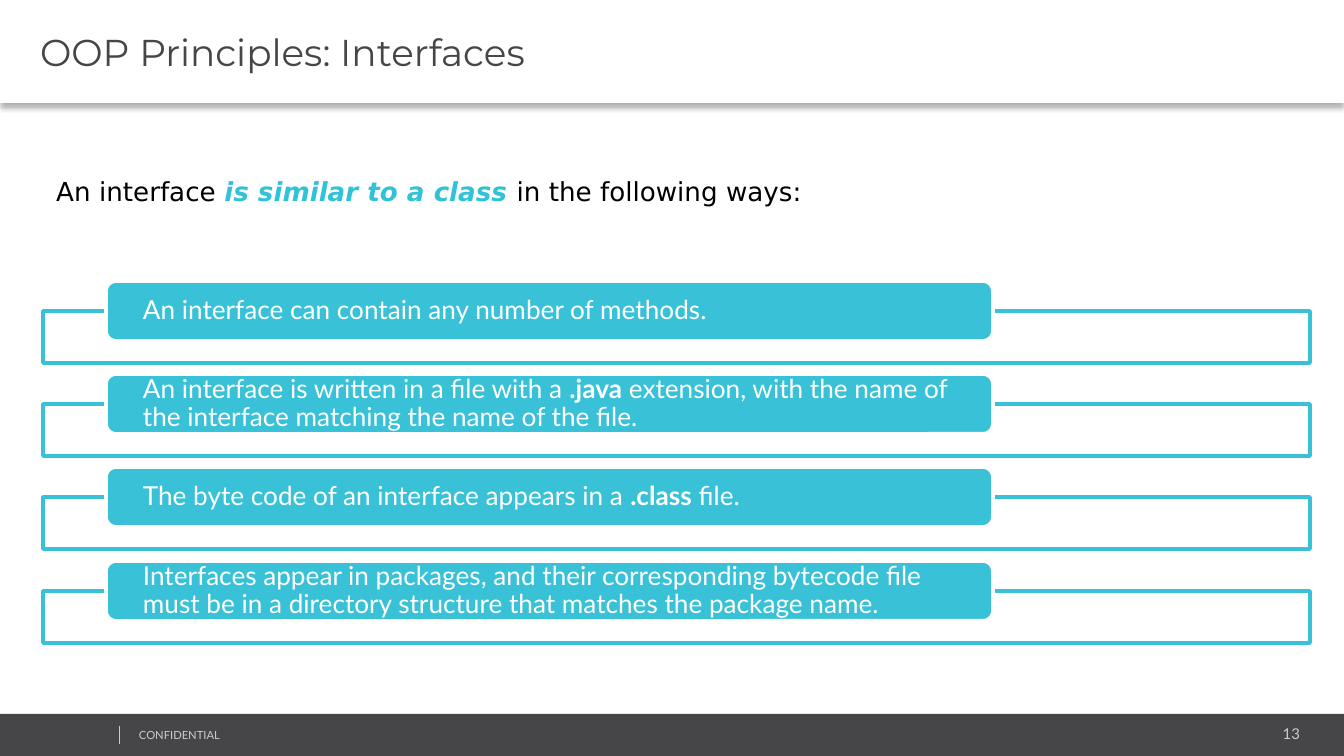
from lxml import etree
from pptx import Presentation, util as u
from pptx.dml.color import RGBColor
from pptx.enum import shapes, text
from pptx.oxml import ns

PX = 914400 / 134.4
TEAL, DARK, GREY, WHITE = "39C2D7", "464547", "CCCCCC", "FFFFFF"


def px(*vals):
    return [u.Emu(round(v * PX)) for v in vals]


def rgb(code):
    return RGBColor.from_string(code)


prs = Presentation()
prs.slide_width, prs.slide_height = px(1344, 756)
slide = prs.slides.add_slide(prs.slide_layouts[5])
kinds = shapes.MSO_SHAPE

# Title band with a soft shadow below
title = slide.shapes.title
title.left, title.top, title.width, title.height = px(0, 0, 1344, 103)
title.fill.solid()
title.fill.fore_color.rgb = rgb(WHITE)
fx = etree.SubElement(title._element.spPr, ns.qn("a:effectLst"))
shade = etree.SubElement(fx, ns.qn("a:outerShdw"), blurRad="39370",
                         dist="25400", dir="5400000", rotWithShape="0")
tone = etree.SubElement(shade, ns.qn("a:srgbClr"), val="000000")
etree.SubElement(tone, ns.qn("a:alpha"), val="30000")
frame = title.text_frame
frame.auto_size = text.MSO_AUTO_SIZE.NONE
frame.vertical_anchor = text.MSO_ANCHOR.MIDDLE
frame.margin_left, frame.margin_top, frame.margin_right, frame.margin_bottom = px(40, 5, 9, 5)
para = frame.paragraphs[0]
para.alignment = text.PP_ALIGN.LEFT
run = para.add_run()
run.text = "OOP Principles: Interfaces"
run.font.name, run.font.size = "Montserrat", u.Pt(20)
run.font.color.rgb = rgb(DARK)

# Footer bar with divider
foot = slide.shapes.add_shape(kinds.RECTANGLE, *px(0, 714, 1344, 42))
foot.shadow.inherit = False
foot.fill.solid()
foot.fill.fore_color.rgb = rgb(DARK)
foot.line.fill.background()
rule = slide.shapes.add_connector(shapes.MSO_CONNECTOR.STRAIGHT, *px(119, 726, 119, 744))
etree.SubElement(rule._element.spPr, ns.qn("a:effectLst"))
rule.line.color.rgb = rgb(GREY)
rule.line.width = u.Pt(0.25)

# Footer texts
for words, size, area, side in (
    ("CONFIDENTIAL", 6, (129, 723, 340, 24), text.PP_ALIGN.LEFT),
    ("13", 8, (1091, 720, 219, 28), text.PP_ALIGN.RIGHT),
):
    frame = slide.shapes.add_textbox(*px(*area)).text_frame
    frame.word_wrap = True
    frame.margin_left, frame.margin_top, frame.margin_right, frame.margin_bottom = px(10, 5, 10, 5)
    para = frame.paragraphs[0]
    para.alignment = side
    run = para.add_run()
    run.text = words
    run.font.name, run.font.size = "Lato", u.Pt(size)
    run.font.color.rgb = rgb(GREY)

# Lead sentence
frame = slide.shapes.add_textbox(*px(43, 169, 1267, 46)).text_frame
frame.word_wrap = True
for words, strong, tint in (
    ("An interface ", False, "000000"),
    ("is similar to a class ", True, "2FC2D9"),
    ("in the following ways:", False, "000000"),
):
    run = frame.paragraphs[0].add_run()
    run.text = words
    run.font.name, run.font.size = "DejaVu Sans", u.Pt(14)
    run.font.bold = run.font.italic = strong
    run.font.color.rgb = rgb(tint)

# Four points: an open frame with a label on its top edge; odd parts are bold
points = (
    ("An interface can contain any number of methods.",),
    ("An interface is written in a file with a ", ".java",
     " extension, with the name of the interface matching the name of the file."),
    ("The byte code of an interface appears in a ", ".class", " file."),
    ("Interfaces appear in packages, and their corresponding bytecode file "
     "must be in a directory structure that matches the package name.",),
)
for row, parts in enumerate(points):
    top = 311 + row * 280 // 3
    box = slide.shapes.add_shape(kinds.RECTANGLE, *px(43, top, 1267, 52))
    label = slide.shapes.add_shape(kinds.ROUNDED_RECTANGLE, *px(106, top - 30, 887, 60))
    for item, fill, edge in ((box, WHITE, TEAL), (label, TEAL, WHITE)):
        item.shadow.inherit = False
        item.fill.solid()
        item.fill.fore_color.rgb = rgb(fill)
        item.line.color.rgb = rgb(edge)
        item.line.width = u.Pt(2)
    frame = label.text_frame
    frame.word_wrap = True
    frame.vertical_anchor = text.MSO_ANCHOR.MIDDLE
    frame.margin_left, frame.margin_top, frame.margin_right, frame.margin_bottom = px(34, 0, 34, 0)
    para = frame.paragraphs[0]
    para.alignment = text.PP_ALIGN.LEFT
    para.line_spacing = 0.9
    for spot, words in enumerate(parts):
        run = para.add_run()
        run.text = words
        run.font.name, run.font.size = "Lato", u.Pt(14)
        run.font.bold = spot % 2 == 1
        run.font.color.rgb = rgb(WHITE)

prs.save("out.pptx")
